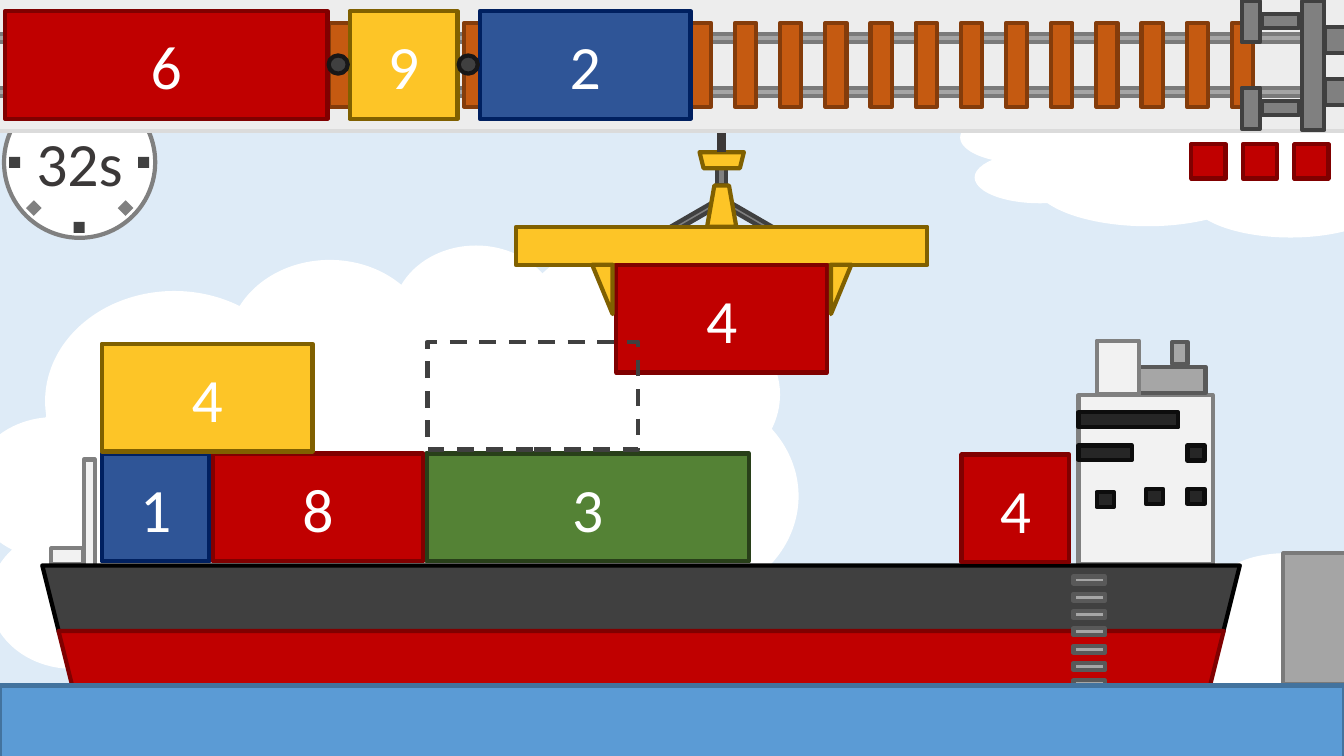
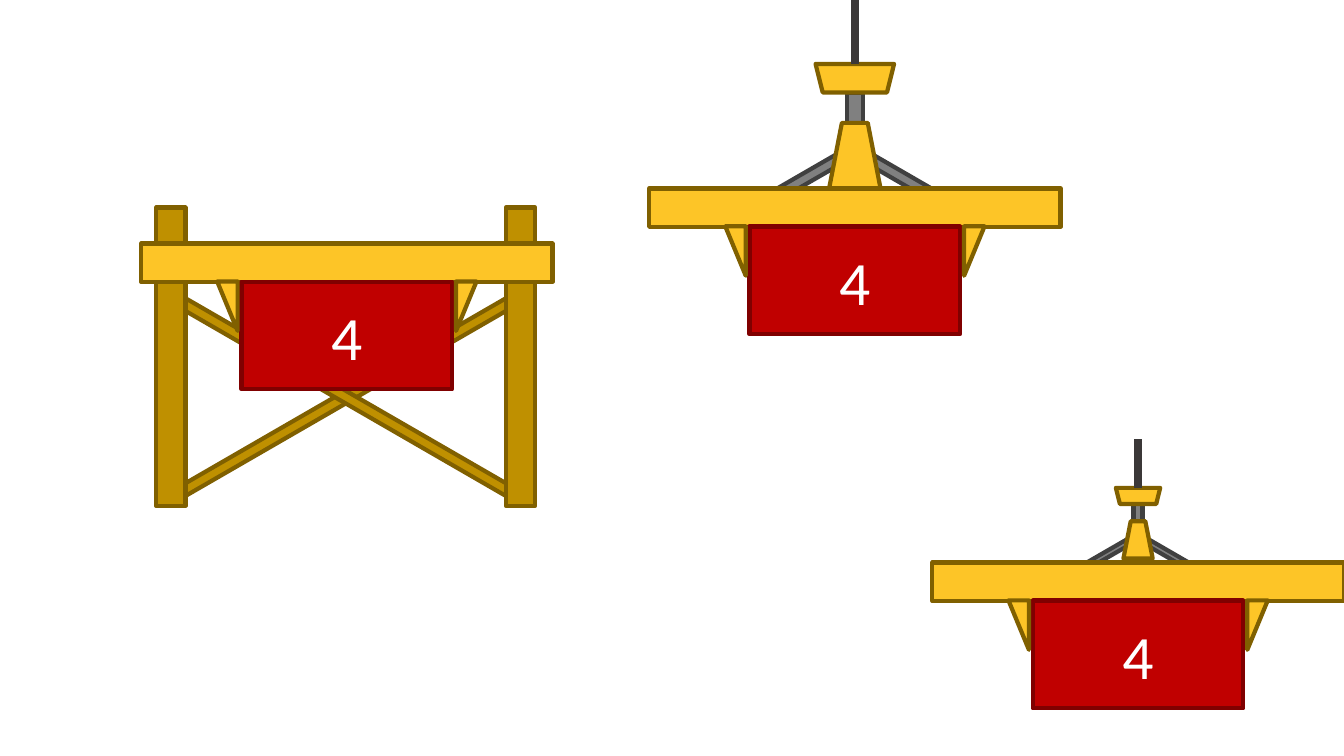
from lxml import etree
from pptx import Presentation
from pptx.dml.color import RGBColor
from pptx.enum.dml import MSO_LINE
from pptx.enum.shapes import MSO_CONNECTOR, MSO_SHAPE as Kind
from pptx.enum.text import MSO_ANCHOR, PP_ALIGN
from pptx.oxml.ns import qn
from pptx.util import Pt

COLORS = {
    "sky": "DEEBF7", "white": "FFFFFF", "cloud": "FFFFFF", "ink": "3B3838",
    "red": "C00000", "red edge": "800000",
    "yellow": "FDC527", "yellow edge": "806000",
    "blue": "2F5597", "blue edge": "002060",
    "green": "548235", "green edge": "283F19",
    "steel": "808080", "steel edge": "404040",
    "timber": "BF9000", "timber edge": "806000",
    "sleeper": "C55A11", "sleeper edge": "843C0B",
    "ballast": "EDEDED", "ballast edge": "DBDBDB",
    "concrete": "A5A5A5", "concrete edge": "7A7A7A",
    "cabin": "F2F2F2", "cabin edge": "808080",
    "metal": "A6A6A6", "metal edge": "595959",
    "window": "262626", "window edge": "0D0D0D",
    "hull": "404040", "hull edge": "000000",
    "coupling": "404040", "coupling edge": "181717",
    "dial": "FFFFFF", "dial edge": "808080",
    "water": "5B9BD5", "water edge": "43739E",
    "main tick": "404040", "minor tick": "808080", "slot edge": "404040",
}
FONT = "Calibri"
CONTAINER_HEIGHT = 77
SHORT, MEDIUM, LONG = 77, 150.5, 230.4


def draw(slide, box, color, kind=Kind.RECTANGLE, rotation=0, text=None, ink="white"):
    shape = slide.shapes.add_shape(kind, *(Pt(length) for length in box))
    shape.shadow.inherit = False
    shape.rotation = rotation
    if color in COLORS:
        shape.fill.solid()
        shape.fill.fore_color.rgb = RGBColor.from_string(COLORS[color])
    else:
        shape.fill.background()
    edge = COLORS.get(f"{color} edge")
    if edge:
        shape.line.color.rgb = RGBColor.from_string(edge)
        shape.line.width = Pt(3)
    else:
        shape.line.fill.background()
    if text:
        shape.text_frame.text = text
        shape.text_frame.vertical_anchor = MSO_ANCHOR.MIDDLE
        paragraph = shape.text_frame.paragraphs[0]
        paragraph.alignment = PP_ALIGN.CENTER
        paragraph.font.name = FONT
        paragraph.font.size = Pt(44)
        paragraph.font.color.rgb = RGBColor.from_string(COLORS[ink])
    return shape


def draw_crane(slide, center, beam_top, scale=0, rise=0, mast_height=0):
    if scale:
        mast_top = beam_top - rise
        hoist = [
            (20.2, 0, 4.3, 45.4, "steel", Kind.RECTANGLE, 300),
            (-20.5, 0, 4.3, 45.4, "steel", Kind.RECTANGLE, 60),
            (0, -12.2, 6.5, 12.2, "steel", Kind.RECTANGLE, 0),
            (0, 0, 20.9, mast_height / scale, "yellow", Kind.TRAPEZOID, 0),
            (0, -23.8, 31.7, 11.5, "yellow", Kind.TRAPEZOID, 180),
        ]
        for offset, top, width, height, color, kind, rotation in hoist:
            box = (center + (offset - width / 2) * scale, mast_top + top * scale,
                   width * scale, height * scale)
            draw(slide, box, color, kind, rotation)
        cable_bottom = mast_top - 23.8 * scale
        cable = slide.shapes.add_connector(
            MSO_CONNECTOR.STRAIGHT, Pt(center), Pt(cable_bottom),
            Pt(center), Pt(cable_bottom - 34.6 * scale))
        cable.line.color.rgb = RGBColor.from_string(COLORS["ink"])
        cable.line.width = Pt(6)
        etree.SubElement(cable._element.spPr, qn("a:effectLst"))
    draw(slide, (center - 146.9, beam_top, 293.8, 27.4), "yellow")
    draw(slide, (center - MEDIUM / 2, beam_top + 27.2, MEDIUM, CONTAINER_HEIGHT), "red", text="4")
    for side, rotation, apex in ((1, 90, 0), (-1, 270, 1)):
        clamp = draw(slide, (center + side * 85.3 - 17.6, beam_top + 37.4, 35.3, 14.6),
                     "yellow", Kind.ISOSCELES_TRIANGLE, rotation)
        clamp.adjustments[0] = apex


presentation = Presentation()
presentation.slide_width, presentation.slide_height = Pt(960), Pt(540)
harbour, cranes = (presentation.slides.add_slide(presentation.slide_layouts[6]) for _ in range(2))
for slide, color in ((harbour, "sky"), (cranes, "white")):
    slide.background.fill.solid()
    slide.background.fill.fore_color.rgb = RGBColor.from_string(COLORS[color])

draw(harbour, (-20.2, 174.2, 590.4, 369.4), "cloud", Kind.CLOUD)
draw_crane(harbour, 515.5, 162, 1, 29.5, 29.5)
draw(harbour, (686.2, 34.6, 460.8, 134.6), "cloud", Kind.CLOUD)

draw(harbour, (2.9, 61.9, 108, 108), "dial", Kind.OVAL, text="32s", ink="ink")
for left, top, color, rotation in (
    (52.6, 158.4, "main tick", 0), (6.5, 112, "main tick", 0), (98.6, 112, "main tick", 0),
    (20.2, 144.7, "minor tick", 45), (85.7, 144.7, "minor tick", 45),
):
    draw(harbour, (left, top, 7.9, 7.9), color, rotation=rotation)

draw(harbour, (645.8, 394.6, 449.3, 133.2), "cloud", Kind.CLOUD)
draw(harbour, (-26.6, -16.6, 999.4, 110.2), "ballast")

for box, color in (
    ((59.8, 328.3, 7.9, 83.5), "cabin"),
    ((36.7, 391.7, 23, 11.5), "cabin"),
    ((770.4, 282.2, 95.8, 121), "cabin"),
    ((813.6, 262.1, 47.5, 18.7), "metal"),
):
    draw(harbour, box, color)
draw(harbour, (30.2, 403.9, 855.4, 47.5), "hull", Kind.TRAPEZOID, 180)
draw(harbour, (41.8, 450.7, 832.3, 47.5), "red", Kind.TRAPEZOID, 180)
for box, color in (
    ((916.6, 395.3, 56.2, 93.6), "concrete"),
    ((783.4, 243.4, 30.2, 38.2), "cabin"),
    ((770.4, 294.5, 71.3, 10.8), "window"),
    ((770.4, 318.2, 38.2, 10.4), "window"),
    ((848.2, 318.2, 12.2, 10.8), "window"),
    ((848.2, 349.2, 12.2, 10.8), "window"),
    ((818.6, 349.2, 12.2, 10.8), "window"),
    ((783.4, 351.4, 12.2, 10.8), "window"),
    ((837.4, 244.1, 10.8, 15.8), "metal"),
):
    draw(harbour, box, color)
for rung in range(7):
    draw(harbour, (766.8, 411.8 + rung * 12.36, 22.3, 5), "metal")

for left, top, width, color, number in (
    (72.7, 324, SHORT, "blue", "1"),
    (304.6, 324, LONG, "green", "3"),
    (151.9, 324, MEDIUM, "red", "8"),
    (686.9, 324.7, SHORT, "red", "4"),
    (72.7, 245.5, MEDIUM, "yellow", "4"),
):
    draw(harbour, (left, top, width, CONTAINER_HEIGHT), color, text=number)

for top in (24.5, 62.6):
    draw(harbour, (-8.6, top, 944.6, 5.8), "concrete")
for position in (0, 3, *range(8, 21)):
    draw(harbour, (234.7 + position * 32.26, 16.4, 15.1, 59.8), "sleeper")
for box in (
    (887, 62.6, 13, 29.5), (901.4, 72, 26.6, 10.1),
    (887, 0.7, 13, 29.5), (901.4, 10.1, 26.6, 10.1),
    (930.2, 0.7, 15.8, 92.2), (946.1, 19.4, 22.3, 18.7), (946.1, 56.2, 22.3, 18.7),
):
    draw(harbour, box, "steel")

for left, width, color, number in (
    (342.7, MEDIUM, "blue", "2"), (3.6, LONG, "red", "6"), (249.8, SHORT, "yellow", "9"),
):
    draw(harbour, (left, 7.9, width, CONTAINER_HEIGHT), color, text=number)
for left in (234.7, 327.6):
    draw(harbour, (left, 39.6, 13.7, 13), "coupling", Kind.OVAL)

slot = draw(harbour, (305.3, 244.1, MEDIUM, CONTAINER_HEIGHT), "slot")
slot.line.dash_style = MSO_LINE.DASH
for life in range(3):
    draw(harbour, (851 + life * 36.72, 103, 24.5, 24.5), "red")
draw(harbour, (0, 489.6, 960, 51.8), "water")

for rotation in (60, 120):
    draw(cranes, (243, 144.7, 7.9, 277.9), "timber", rotation=rotation)
for left in (361.4, 111.6):
    draw(cranes, (left, 148.3, 20.9, 213.1), "timber")
draw_crane(cranes, 247.7, 174)
draw_crane(cranes, 610.6, 134.6, 1.77, 46.8, 47.5)
draw_crane(cranes, 812.9, 401.8, 1, 29.5, 26.6)

presentation.save("out.pptx")
